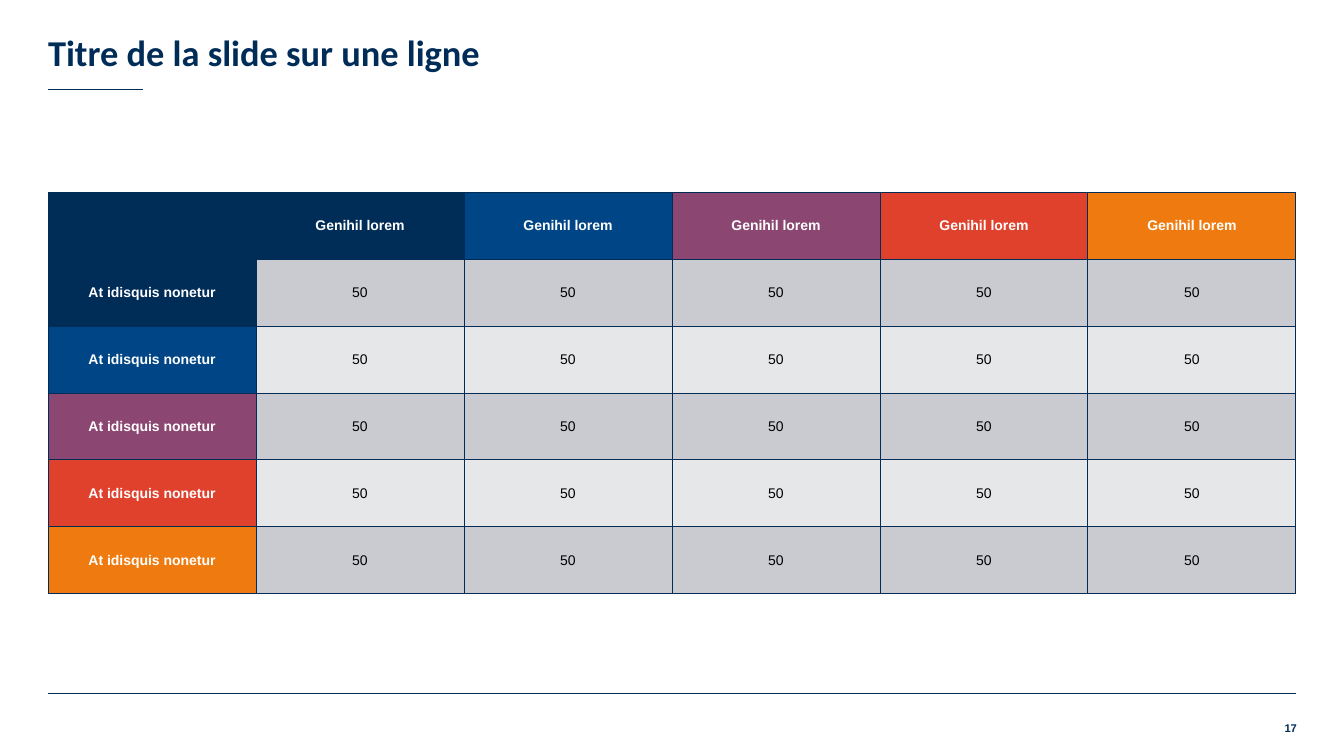
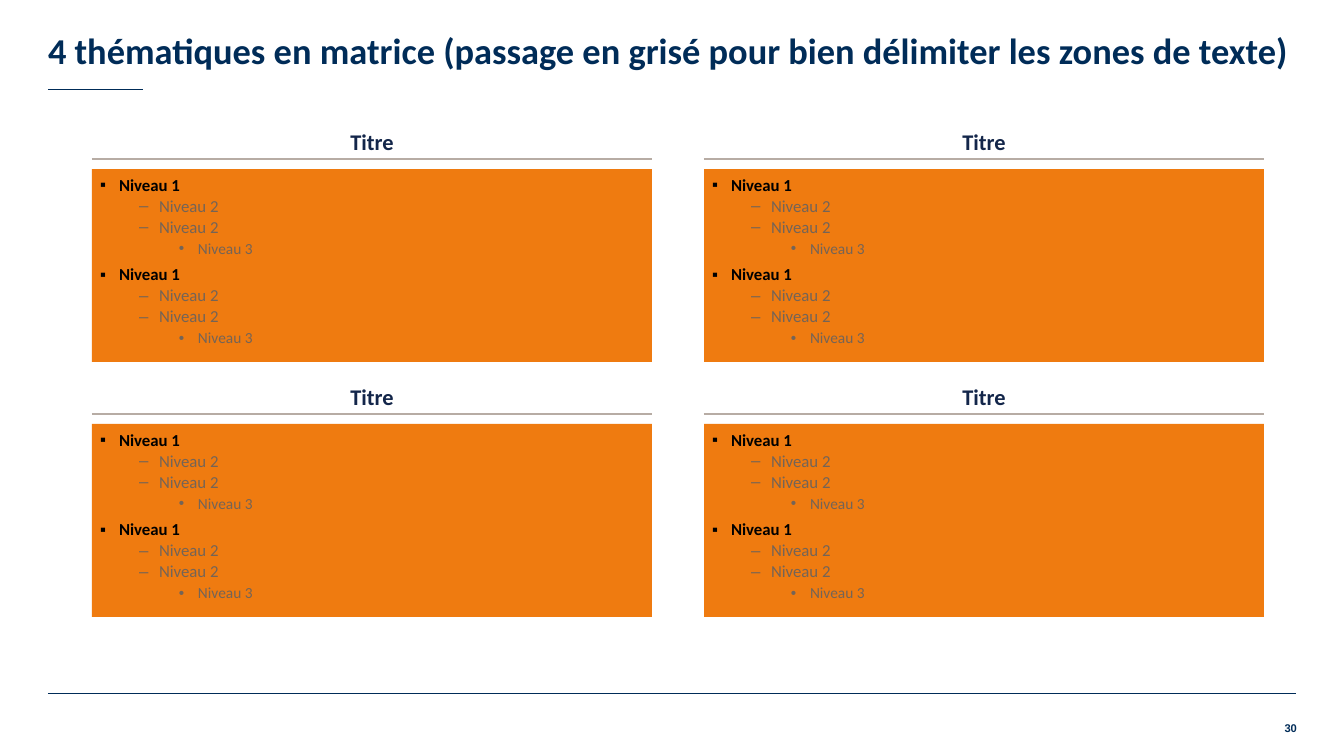
from dataclasses import dataclass
from itertools import product

from lxml.etree import SubElement
from pptx import Presentation
from pptx.dml.color import RGBColor
from pptx.enum.shapes import MSO_CONNECTOR, MSO_SHAPE
from pptx.enum.text import MSO_ANCHOR, MSO_AUTO_SIZE, PP_ALIGN
from pptx.oxml.ns import qn
from pptx.util import Emu, Pt


@dataclass(frozen=True)
class Theme:
    navy: str = "002C58"
    blue: str = "004687"
    plum: str = "8B4771"
    red: str = "E0412D"
    orange: str = "EF7B10"
    heading: str = "13264A"
    taupe: str = "B7ACA4"
    brown: str = "746457"
    dark_band: str = "CACBD0"
    light_band: str = "E6E7E9"
    white: str = "FFFFFF"
    black: str = "000000"
    title_font: str = "Calibri"
    table_font: str = "Arial"
    title_size: int = 26
    heading_size: int = 16
    table_size: int = 10
    number_size: int = 8
    thin_line: float = 0.75
    heading_line: float = 1.5


@dataclass(frozen=True)
class Level:
    bullet: str
    left: int
    hanging: int
    space_before: int
    size: int
    color: str
    bold: bool


THEME = Theme()
ACCENTS = (THEME.navy, THEME.blue, THEME.plum, THEME.red, THEME.orange)
LEVELS = (
    Level("▪", 19, 19, 6, 12, THEME.black, True),
    Level("–", 59, 20, 2, 12, THEME.brown, False),
    Level("•", 98, 19, 3, 11, THEME.brown, False),
)
OUTLINE = (0, 1, 1, 2) * 2  # levels of the paragraphs in a matrix box

SLIDE_WIDTH, SLIDE_HEIGHT = 1344, 756
MARGIN = 48
CONTENT_WIDTH = SLIDE_WIDTH - 2 * MARGIN
EMU_PER_PX = 12192000 / SLIDE_WIDTH


def px(length):
    return Emu(round(length * EMU_PER_PX))


def rgb(color):
    return RGBColor.from_string(color)


# Text

def add_run(paragraph, text, font, size, color, bold):
    run = paragraph.add_run()
    run.text = text
    run.font.name = font
    run.font.size = Pt(size)
    run.font.bold = bold
    run.font.color.rgb = rgb(color)


def format_frame(frame, insets, anchor):
    frame.word_wrap = True
    frame.auto_size = MSO_AUTO_SIZE.NONE
    frame.vertical_anchor = anchor
    left, top, right, bottom = (px(inset) for inset in insets)
    frame.margin_left, frame.margin_top = left, top
    frame.margin_right, frame.margin_bottom = right, bottom


def add_text_box(slide, box, insets=(0, 0, 0, 0), anchor=MSO_ANCHOR.TOP):
    shape = slide.shapes.add_textbox(*map(px, box))
    format_frame(shape.text_frame, insets, anchor)
    return shape.text_frame.paragraphs[0]


def add_bullet(paragraph, level):
    properties = paragraph._p.get_or_add_pPr()
    properties.set("marL", str(px(level.left)))
    properties.set("indent", str(-px(level.hanging)))
    color = SubElement(properties, qn("a:buClr"))
    SubElement(color, qn("a:srgbClr"), val=level.color)
    SubElement(properties, qn("a:buFont"), typeface=THEME.table_font)
    SubElement(properties, qn("a:buChar"), char=level.bullet)


# Lines and slide frame

def add_line(slide, left, right, y, color=THEME.navy, width=THEME.thin_line):
    line = slide.shapes.add_connector(
        MSO_CONNECTOR.STRAIGHT, px(left), px(y), px(right), px(y))
    line.line.color.rgb = rgb(color)
    line.line.width = Pt(width)
    SubElement(line._element.spPr, qn("a:effectLst"))


def add_slide(presentation, title, number, insets=(0, 0, 0, 0), spacing=1.0):
    slide = presentation.slides.add_slide(presentation.slide_layouts[5])
    shape = slide.shapes.title
    shape.left, shape.top = px(MARGIN), px(0)
    shape.width, shape.height = px(CONTENT_WIDTH), px(74)
    format_frame(shape.text_frame, insets, MSO_ANCHOR.BOTTOM)
    paragraph = shape.text_frame.paragraphs[0]
    paragraph.alignment = PP_ALIGN.LEFT
    paragraph.line_spacing = spacing
    add_run(paragraph, title, THEME.title_font, THEME.title_size, THEME.navy, True)

    add_line(slide, MARGIN, 143, 90)
    add_line(slide, MARGIN, MARGIN + CONTENT_WIDTH, 694)
    paragraph = add_text_box(slide, (1258, 721, 39, 20))
    paragraph.alignment = PP_ALIGN.RIGHT
    add_run(paragraph, str(number), THEME.table_font, THEME.number_size,
            THEME.navy, True)
    return slide


# Table

def add_borders(cell):
    properties = cell._tc.get_or_add_tcPr()
    for side in ("lnL", "lnR", "lnT", "lnB"):
        border = SubElement(properties, qn(f"a:{side}"), w=str(Pt(THEME.thin_line)))
        fill = SubElement(border, qn("a:solidFill"))
        SubElement(fill, qn("a:srgbClr"), val=THEME.navy)


def format_cell(cell, text, fill, color, bold):
    cell.vertical_anchor = MSO_ANCHOR.MIDDLE
    cell.margin_left = cell.margin_right = px(11)
    cell.margin_top = cell.margin_bottom = px(5)
    add_borders(cell)
    cell.fill.solid()
    cell.fill.fore_color.rgb = rgb(fill)
    if text:
        paragraph = cell.text_frame.paragraphs[0]
        paragraph.alignment = PP_ALIGN.CENTER
        add_run(paragraph, text, THEME.table_font, THEME.table_size, color, bold)


def add_color_table(slide, top, row_height, rows):
    row_count, column_count = len(rows), len(rows[0])
    table = slide.shapes.add_table(
        row_count, column_count, px(MARGIN), px(top),
        px(CONTENT_WIDTH), px(row_height * row_count)).table
    table.first_row = table.horz_banding = False
    for row, column in product(range(row_count), range(column_count)):
        is_header = row == 0 or column == 0
        if is_header:
            fill = ACCENTS[max(row, column, 1) - 1]
        else:
            fill = THEME.dark_band if row % 2 else THEME.light_band
        color = THEME.white if is_header else THEME.black
        format_cell(table.cell(row, column), rows[row][column], fill, color, is_header)


# Matrix panel

def add_panel(slide, left, top, width):
    paragraph = add_text_box(
        slide, (left, top, width, 34), (0, 0, 0, 4), MSO_ANCHOR.BOTTOM)
    paragraph.alignment = PP_ALIGN.CENTER
    paragraph.line_spacing = 0.9
    add_run(paragraph, "Titre", THEME.title_font, THEME.heading_size,
            THEME.heading, True)
    add_line(slide, left, left + width, top + 34, THEME.taupe, THEME.heading_line)

    shape = slide.shapes.add_shape(
        MSO_SHAPE.RECTANGLE, px(left), px(top + 44), px(width), px(193))
    shape.shadow.inherit = False
    shape.fill.solid()
    shape.fill.fore_color.rgb = rgb(THEME.orange)
    shape.line.fill.background()
    frame = shape.text_frame
    format_frame(frame, (8, 8, 8, 8), MSO_ANCHOR.TOP)
    for index, depth in enumerate(OUTLINE):
        level = LEVELS[depth]
        paragraph = frame.add_paragraph() if index else frame.paragraphs[0]
        paragraph.level = depth
        paragraph.alignment = PP_ALIGN.LEFT
        paragraph.line_spacing = 0.9
        paragraph.space_before = Pt(level.space_before if index else 0)
        add_bullet(paragraph, level)
        add_run(paragraph, f"Niveau {depth + 1}", THEME.title_font,
                level.size, level.color, level.bold)


def main():
    presentation = Presentation()
    presentation.slide_width = px(SLIDE_WIDTH)
    presentation.slide_height = px(SLIDE_HEIGHT)

    # Table slide
    slide = add_slide(presentation, "Titre de la slide sur une ligne", 17)
    count = len(ACCENTS)
    header = [""] + ["Genihil lorem"] * count
    body = [["At idisquis nonetur"] + ["50"] * count for _ in ACCENTS]
    add_color_table(slide, 192, 67, [header] + body)

    # Matrix slide
    slide = add_slide(
        presentation,
        "4 thématiques en matrice (passage en grisé pour bien délimiter "
        "les zones de texte)",
        30, insets=(0, 5, 2, 2), spacing=0.9)
    for row, column in product(range(2), repeat=2):
        add_panel(slide, 92 + 612 * column, 125 + 255 * row, 560)

    presentation.save("out.pptx")


if __name__ == "__main__":
    main()
